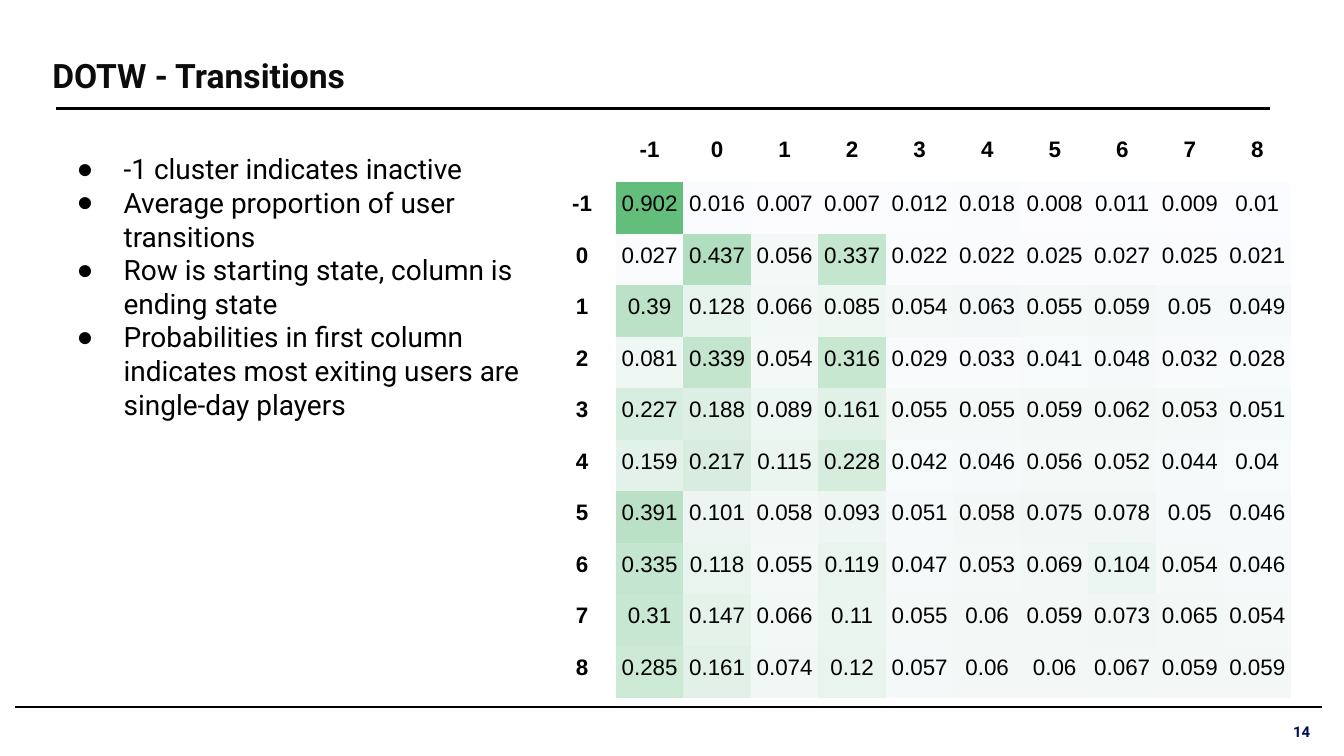
from lxml.etree import SubElement
from pptx import Presentation
from pptx.dml.color import RGBColor
from pptx.enum.shapes import MSO_CONNECTOR
from pptx.enum.text import MSO_ANCHOR, MSO_AUTO_SIZE, PP_ALIGN
from pptx.oxml.ns import qn
from pptx.util import Inches, Pt

TITLE = "DOTW - Transitions"
BULLETS = [
    "-1 cluster indicates inactive",
    "Average proportion of user transitions",
    "Row is starting state, column is ending state",
    "Probabilities in first column indicates most exiting users are single-day players",
]
PAGE = "14"
STATES = ["-1", "0", "1", "2", "3", "4", "5", "6", "7", "8"]
PROBABILITIES = [
    [0.902, 0.016, 0.007, 0.007, 0.012, 0.018, 0.008, 0.011, 0.009, 0.01],
    [0.027, 0.437, 0.056, 0.337, 0.022, 0.022, 0.025, 0.027, 0.025, 0.021],
    [0.39, 0.128, 0.066, 0.085, 0.054, 0.063, 0.055, 0.059, 0.05, 0.049],
    [0.081, 0.339, 0.054, 0.316, 0.029, 0.033, 0.041, 0.048, 0.032, 0.028],
    [0.227, 0.188, 0.089, 0.161, 0.055, 0.055, 0.059, 0.062, 0.053, 0.051],
    [0.159, 0.217, 0.115, 0.228, 0.042, 0.046, 0.056, 0.052, 0.044, 0.04],
    [0.391, 0.101, 0.058, 0.093, 0.051, 0.058, 0.075, 0.078, 0.05, 0.046],
    [0.335, 0.118, 0.055, 0.119, 0.047, 0.053, 0.069, 0.104, 0.054, 0.046],
    [0.31, 0.147, 0.066, 0.11, 0.055, 0.06, 0.059, 0.073, 0.065, 0.054],
    [0.285, 0.161, 0.074, 0.12, 0.057, 0.06, 0.06, 0.067, 0.059, 0.059],
]
RULES = [(0.11, 9.84, 5.26, 0.75), (0.42, 9.45, 0.81, 1.5)]

BLACK = RGBColor(0x00, 0x00, 0x00)
INK = RGBColor(0x0C, 0x0C, 0x0C)
NAVY = RGBColor(0x00, 0x0D, 0x55)
LOW = RGBColor(0xFC, 0xFC, 0xFF)
HIGH = RGBColor(0x63, 0xBE, 0x7B)
NO_GRID = "{2D5ABB26-0587-4C30-8999-92F81FD0307C}"


def write(tf, *lines, size, font="Roboto", color=BLACK, bold=False,
          align=PP_ALIGN.LEFT, spacing=1.0, bullet=None):
    for i, line in enumerate(lines):
        p = tf.paragraphs[0] if i == 0 else tf.add_paragraph()
        if bullet:
            pPr = p._p.get_or_add_pPr()
            pPr.set("marL", str(Inches(0.5)))
            pPr.set("indent", str(Inches(-0.35)))
            SubElement(pPr, qn("a:buChar")).set("char", bullet)
        p.alignment = align
        p.line_spacing = spacing
        p.space_before = p.space_after = Pt(0)
        r = p.add_run()
        r.text = line
        r.font.name = font
        r.font.size = Pt(size)
        r.font.bold = bold
        r.font.color.rgb = color


def place(sp, left, top, width, height, inset_x, inset_y, anchor=MSO_ANCHOR.TOP):
    sp.left, sp.top = Inches(left), Inches(top)
    sp.width, sp.height = Inches(width), Inches(height)
    tf = sp.text_frame
    tf.word_wrap = True
    tf.auto_size = MSO_AUTO_SIZE.NONE
    tf.vertical_anchor = anchor
    tf.margin_left = tf.margin_right = Inches(inset_x)
    tf.margin_top = tf.margin_bottom = Inches(inset_y)
    return tf


def shade(value, low, high):
    t = (value - low) / (high - low)
    return RGBColor(*(round(a + (b - a) * t) for a, b in zip(LOW, HIGH)))


def add_matrix(s):
    n = len(STATES) + 1
    width, height = Inches(5.53), Inches(4.22)
    table = s.shapes.add_table(n, n, Inches(4.08), Inches(0.94), width, height).table
    table._tbl.tblPr.find(qn("a:tableStyleId")).text = NO_GRID
    table.first_row = table.horz_banding = False
    for line in table.columns:
        line.width = width // n
    for line in table.rows:
        line.height = height // n

    values = [v for row in PROBABILITIES for v in row]
    low, high = min(values), max(values)
    grid = [[""] + STATES] + [[st] + row for st, row in zip(STATES, PROBABILITIES)]
    for i, row in enumerate(grid):
        for j, value in enumerate(row):
            cell = table.cell(i, j)
            header = i == 0 or j == 0
            cell.vertical_anchor = MSO_ANCHOR.MIDDLE
            cell.margin_left = cell.margin_right = cell.margin_top = Inches(0.01)
            cell.margin_bottom = Inches(0.1)
            if header:
                cell.fill.background()
            else:
                cell.fill.solid()
                cell.fill.fore_color.rgb = shade(value, low, high)
            if value != "":
                write(cell.text_frame, str(value), size=12, font="Arial",
                      bold=header, align=PP_ALIGN.CENTER, spacing=1.15)


prs = Presentation()
prs.slide_width = Inches(10)
prs.slide_height = prs.slide_width * 9 // 16
s = prs.slides.add_slide(prs.slide_layouts[1])

for x1, x2, y, weight in RULES:
    rule = s.shapes.add_connector(MSO_CONNECTOR.STRAIGHT, Inches(x1), Inches(y),
                                  Inches(x2), Inches(y))
    rule.line.color.rgb = BLACK
    rule.line.width = Pt(weight)
    SubElement(rule._element.spPr, qn("a:effectLst"))

write(place(s.shapes.title, 0.32, 0.34, 8.95, 0.84, 0.07, 0.07), TITLE,
      size=18, color=INK, bold=True)
write(place(s.placeholders[1], 0.32, 1.03, 3.76, 3.86, 0.1, 0.1), *BULLETS,
      size=15, bullet="●")
add_matrix(s)
page = s.shapes.add_textbox(0, 0, 0, 0)
write(place(page, 9.28, 5.29, 0.54, 0.3, 0.07, 0.04, MSO_ANCHOR.MIDDLE), PAGE,
      size=8, color=NAVY, bold=True, align=PP_ALIGN.RIGHT)

prs.save("out.pptx")
